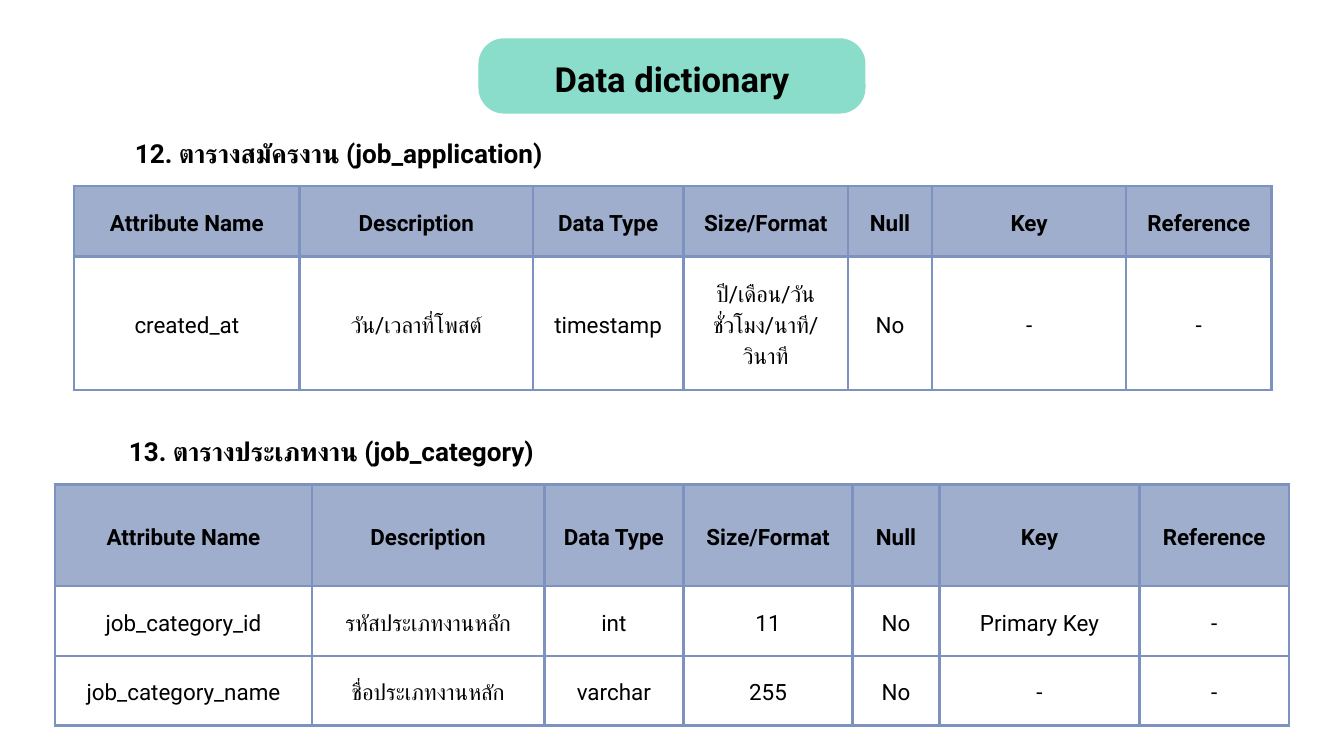
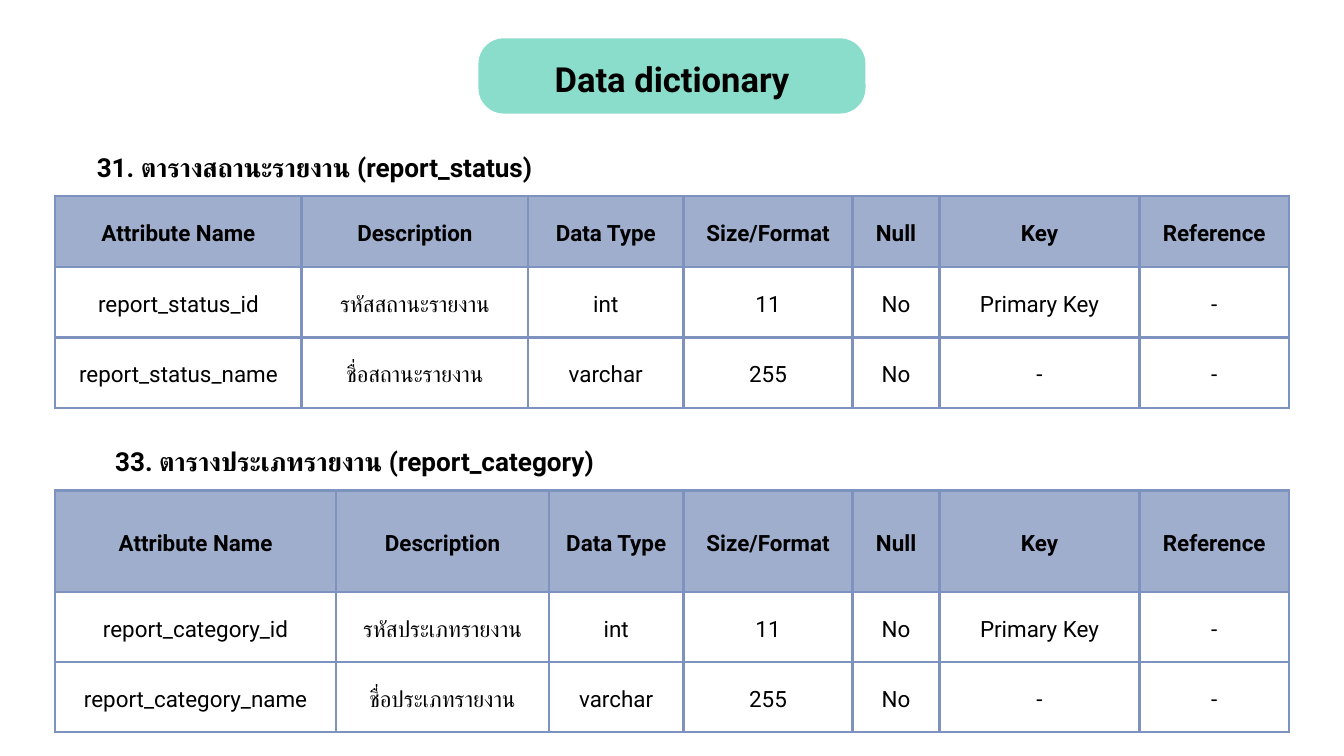
from collections import namedtuple

from lxml.etree import SubElement
from pptx import Presentation
from pptx.dml.color import RGBColor
from pptx.enum.shapes import MSO_SHAPE as Shape
from pptx.enum.text import MSO_ANCHOR as Anchor, MSO_AUTO_SIZE as AutoSize, PP_ALIGN as Align
from pptx.oxml.ns import qn
from pptx.util import Inches, Pt

COLORS = {"ink": "000000", "band": "8ADDCA", "header": "A0AECD", "border": "7E92C0"}
FONT = "Roboto"

# The slide is a grid of 20 columns and 11.25 rows of square cells
SLIDE_W, SLIDE_H = Inches(20), Inches(11.25)
CELL = SLIDE_W / 20

TITLE_BAND = (7.12, 0.57, 5.76, 1.12)
HEADING_H = 0.53
CELL_MARGIN = 0.21
LEADING = 1.4
FIELDS = ["Attribute Name", "Description", "Data Type", "Size/Format", "Null", "Key", "Reference"]

# heading_box: offset from the table's left and top, then width
Entity = namedtuple("Entity", "heading heading_box table_box columns rows records")

WIDE_BOX_X, WIDE_BOX_W = 0.82, 18.36
WIDE_TAIL = [2.52, 1.29, 2.98, 2.22]
TALL_HEADER = [1.51, 1.04, 1.04]


def id_and_name(entity, id_label, name_label):
    """Records of a lookup table that holds only an id and a name."""
    return [
        [f"{entity}_id", id_label, "int", "11", "No", "Primary Key", "-"],
        [f"{entity}_name", name_label, "varchar", "255", "No", "-", "-"],
    ]


SLIDES = [
    [
        Entity("12. ตารางสมัครงาน (job_application)", (-0.56, -0.8, 9),
               (1.1, 2.77, 17.82), [3.36, 3.47, 2.24, 2.45, 1.25, 2.89, 2.16], [1.05, 1.98],
               [["created_at", "วัน/เวลาที่โพสต์", "timestamp",
                 "ปี/เดือน/วัน\nชั่วโมง/นาที/วินาที", "No", "-", "-"]]),
        Entity("13. ตารางประเภทงาน (job_category)", (0.28, -0.81, 7.66),
               (WIDE_BOX_X, 7.21, WIDE_BOX_W), [3.82, 3.46, 2.07] + WIDE_TAIL, TALL_HEADER,
               id_and_name("job_category", "รหัสประเภทงานหลัก", "ชื่อประเภทงานหลัก")),
    ],
    [
        Entity("31. ตารางสถานะรายงาน (report_status)", (0.08, -0.74, 7.56),
               (WIDE_BOX_X, 2.92, WIDE_BOX_W), [3.67, 3.37, 2.31] + WIDE_TAIL, [1.05] * 3,
               id_and_name("report_status", "รหัสสถานะรายงาน", "ชื่อสถานะรายงาน")),
        Entity("33. ตารางประเภทรายงาน (report_category)", (0.3, -0.75, 8.31),
               (WIDE_BOX_X, 7.3, WIDE_BOX_W), [4.18, 3.17, 2] + WIDE_TAIL, TALL_HEADER,
               id_and_name("report_category", "รหัสประเภทรายงาน", "ชื่อประเภทรายงาน")),
    ],
]


def grid(*lengths):
    return [round(length * CELL) for length in lengths]


def color(name):
    return RGBColor.from_string(COLORS[name])


def write(frame, text, size, bold=True, margin=0):
    """Fill a text frame or table cell's frame with centred text."""
    frame.text = text
    frame.word_wrap = True
    frame.margin_left = frame.margin_right = Inches(margin)
    frame.margin_top = frame.margin_bottom = Inches(margin)
    for paragraph in frame.paragraphs:
        paragraph.alignment = Align.CENTER
        paragraph.line_spacing = Pt(size * LEADING)
        font = paragraph.font
        font.size, font.bold, font.name = Pt(size), bold, FONT
        font.color.rgb = color("ink")
        # Thai letters take the complex-script font
        SubElement(font._rPr, qn("a:cs"), typeface=FONT)


def add_title(slide, box):
    """Rounded band with the slide title inside it."""
    x, y, w, h = box
    band = slide.shapes.add_shape(Shape.ROUNDED_RECTANGLE, *grid(x, y, w, h))
    band.adjustments[0] = 0.34
    band.shadow.inherit = False
    band.fill.solid()
    band.fill.fore_color.rgb = color("band")
    band.line.fill.background()

    title = slide.shapes.title
    title.left, title.top, title.width, title.height = grid(
        x + 0.15 * w, y + 0.17 * h, 0.7 * w, 0.6 * h)
    write(title.text_frame, "Data dictionary", 37)
    title.text_frame.auto_size = AutoSize.NONE
    title.text_frame.vertical_anchor = Anchor.TOP
    band.element.addnext(title.element)


def add_borders(cell):
    properties = cell._tc.get_or_add_tcPr()
    for side in ("a:lnL", "a:lnR", "a:lnT", "a:lnB"):
        line = SubElement(properties, qn(side), w=str(Pt(3)))
        fill = SubElement(line, qn("a:solidFill"))
        SubElement(fill, qn("a:srgbClr"), val=COLORS["border"])


def format_cell(cell, text, is_header):
    write(cell.text_frame, text, 24, is_header)
    cell.margin_left = cell.margin_right = Inches(CELL_MARGIN)
    cell.margin_top = cell.margin_bottom = Inches(CELL_MARGIN)
    cell.vertical_anchor = Anchor.MIDDLE
    add_borders(cell)
    if is_header:
        cell.fill.solid()
        cell.fill.fore_color.rgb = color("header")
    else:
        cell.fill.background()


def add_entity(slide, entity):
    """Heading and attribute table of one database entity."""
    x, y, w = entity.table_box
    records = [FIELDS] + entity.records
    frame = slide.shapes.add_table(len(records), len(FIELDS), *grid(x, y, w, sum(entity.rows)))
    attributes = frame.table
    attributes.horz_banding = False
    for column, width in zip(attributes.columns, entity.columns):
        column.width = round(width / sum(entity.columns) * w * CELL)
    for r, (row, record) in enumerate(zip(attributes.rows, records)):
        row.height = round(entity.rows[r] * CELL)
        for cell, text in zip(row.cells, record):
            format_cell(cell, text, r == 0)

    dx, dy, heading_w = entity.heading_box
    heading = slide.shapes.add_textbox(*grid(x + dx, y + dy, heading_w, HEADING_H))
    write(heading.text_frame, entity.heading, 28)


def main():
    deck = Presentation()
    deck.slide_width, deck.slide_height = SLIDE_W, SLIDE_H
    title_only = deck.slide_layouts[5]
    for entities in SLIDES:
        slide = deck.slides.add_slide(title_only)
        add_title(slide, TITLE_BAND)
        for entity in entities:
            add_entity(slide, entity)
    deck.save("out.pptx")


if __name__ == "__main__":
    main()
